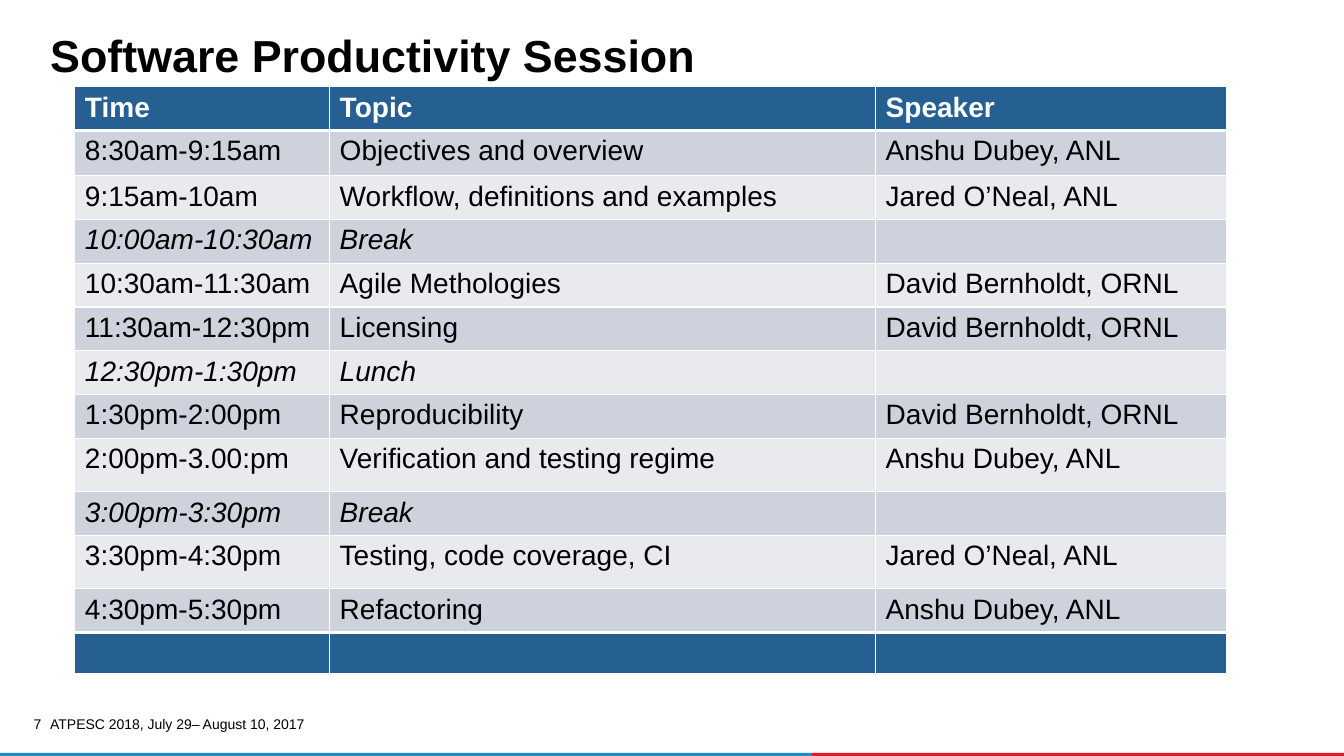
from lxml.etree import SubElement
from pptx import Presentation
from pptx.dml.color import RGBColor
from pptx.enum.shapes import MSO_SHAPE
from pptx.enum.text import MSO_ANCHOR, PP_ALIGN
from pptx.oxml.ns import qn
from pptx.util import Pt


def color(hex_string):
    return RGBColor.from_string(hex_string)


def add_border(cell, side, width):
    """Draw a white line on one side (L, R, T or B) of a table cell."""
    properties = cell._tc.get_or_add_tcPr()
    line = SubElement(properties, qn(f"a:ln{side}"), w=str(Pt(width)))
    SubElement(SubElement(line, qn("a:solidFill")), qn("a:srgbClr"), val="FFFFFF")


presentation = Presentation()
presentation.slide_width = Pt(960)
presentation.slide_height = Pt(540)
slide = presentation.slides.add_slide(presentation.slide_layouts[6])

# Footer stripe
for left, width, fill in [(580, 380, "DA1F28"), (0, 580, "1B8DC3")]:
    stripe = slide.shapes.add_shape(
        MSO_SHAPE.RECTANGLE, Pt(left), Pt(537.8), Pt(width), Pt(2.2))
    stripe.shadow.inherit = False
    stripe.fill.solid()
    stripe.fill.fore_color.rgb = color(fill)
    stripe.line.fill.background()

# Title, footer and slide number
texts = [
    dict(text="Software Productivity Session", box=(28.8, 21.6, 895.7, 40.3),
         size=32, bold=True, spacing=0.85, anchor=MSO_ANCHOR.MIDDLE),
    dict(text="ATPESC 2018, July 29– August 10, 2017", box=(28.8, 509.8, 261.4, 14.4),
         size=10, anchor=MSO_ANCHOR.MIDDLE),
    dict(text="7", box=(13, 512.6, 16.6, 12.2), size=10, spacing=0.9,
         align=PP_ALIGN.RIGHT, anchor=MSO_ANCHOR.TOP, margin=0),
]
for item in texts:
    frame = slide.shapes.add_textbox(*map(Pt, item["box"])).text_frame
    frame.word_wrap = True
    frame.vertical_anchor = item["anchor"]
    if "margin" in item:
        for side in ("left", "top", "right", "bottom"):
            setattr(frame, f"margin_{side}", Pt(item["margin"]))
    paragraph = frame.paragraphs[0]
    paragraph.alignment = item.get("align", PP_ALIGN.LEFT)
    paragraph.line_spacing = item.get("spacing", 1.0)
    run = paragraph.add_run()
    run.text = item["text"]
    run.font.color.rgb = color("000000")
    font_format = dict(name="Arial", size=Pt(item["size"]), bold=item.get("bold", False))
    for name, value in font_format.items():
        setattr(run.font, name, value)

# Session schedule
schedule = [
    ("Time", "Topic", "Speaker"),
    ("8:30am-9:15am", "Objectives and overview", "Anshu Dubey, ANL"),
    ("9:15am-10am", "Workflow, definitions and examples", "Jared O’Neal, ANL"),
    ("10:00am-10:30am", "Break", ""),
    ("10:30am-11:30am", "Agile Methologies", "David Bernholdt, ORNL"),
    ("11:30am-12:30pm", "Licensing", "David Bernholdt, ORNL"),
    ("12:30pm-1:30pm", "Lunch", ""),
    ("1:30pm-2:00pm", "Reproducibility", "David Bernholdt, ORNL"),
    ("2:00pm-3.00:pm", "Verification and testing regime", "Anshu Dubey, ANL"),
    ("3:00pm-3:30pm", "Break", ""),
    ("3:30pm-4:30pm", "Testing, code coverage, CI", "Jared O’Neal, ANL"),
    ("4:30pm-5:30pm", "Refactoring", "Anshu Dubey, ANL"),
    ("", "", ""),
]
column_widths = [182, 390, 250.4]
row_height = 29.2
tall_rows = {1: 32.4, 8: 38.2, 10: 38.2}
last = len(schedule) - 1
heights = [tall_rows.get(index, row_height) for index in range(len(schedule))]

table = slide.shapes.add_table(
    len(schedule), len(column_widths),
    Pt(53.5), Pt(61.9), Pt(sum(column_widths)), Pt(sum(heights))).table
for column, width in zip(table.columns, column_widths):
    column.width = Pt(width)

for index, entries in enumerate(schedule):
    table.rows[index].height = Pt(heights[index])
    is_header = index == 0
    if index in (0, last):
        fill = "266092"
    else:
        fill = "CDD2DC" if index % 2 else "E8EAEE"
    top = 3 if index in (1, last) else 1
    bottom = 3 if index in (0, last - 1) else 1
    font_format = dict(name="Arial", size=Pt(20), bold=is_header,
                       italic=entries[1] in ("Break", "Lunch"))
    for cell, text in zip(table.rows[index].cells, entries):
        for side, width in dict(L=1, R=1, T=top, B=bottom).items():
            add_border(cell, side, width)
        cell.fill.solid()
        cell.fill.fore_color.rgb = color(fill)
        if not text:
            continue
        run = cell.text_frame.paragraphs[0].add_run()
        run.text = text
        run.font.color.rgb = color("FFFFFF" if is_header else "000000")
        for name, value in font_format.items():
            setattr(run.font, name, value)

presentation.save("out.pptx")
